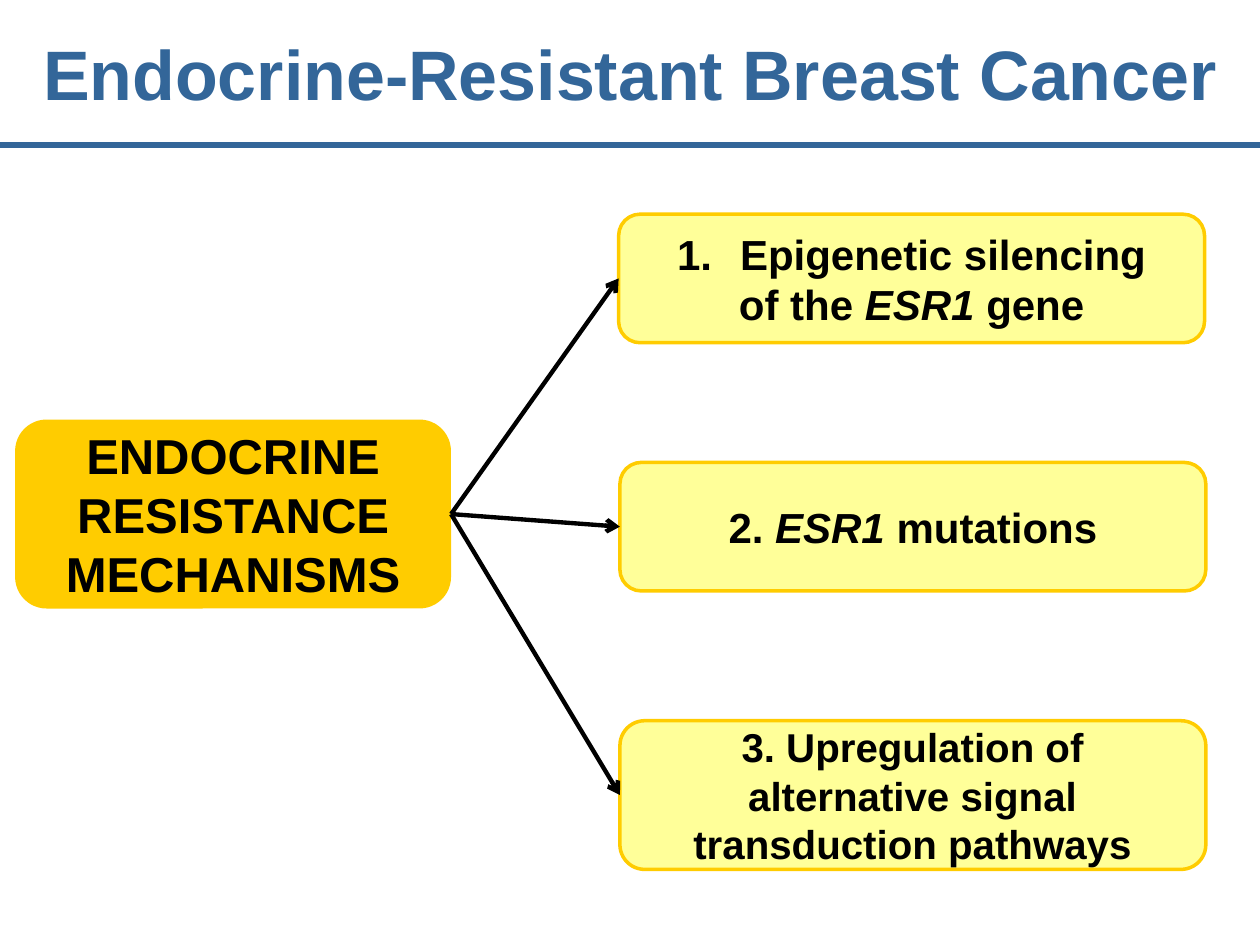
from dataclasses import dataclass

import lxml.etree
import pptx
import pptx.dml.color
import pptx.enum.shapes
import pptx.enum.text
import pptx.oxml.ns
import pptx.util

Pt = pptx.util.Pt
COLORS = {
    "background": "FFFFFF",
    "title": "336699",
    "gold": "FFCC00",
    "pale_yellow": "FFFF99",
    "black": "000000",
}
FONT = "Arial"
GENE = "ESR1"  # gene names are set in italics
SLIDE_WIDTH, SLIDE_HEIGHT = 720, 540
TITLE_HEIGHT = 82.8
MECHANISM_WIDTH = 334.8


@dataclass
class Box:
    left: float
    top: float
    width: float
    height: float
    lines: list[list[str]]  # paragraphs, each a list of runs
    size: float
    fill: str = "pale_yellow"
    outlined: bool = True
    numbered: bool = False  # automatic number on the first paragraph


CAUSE = Box(8.64, 239.76, 249.12, 108,
            [["ENDOCRINE RESISTANCE"], ["MECHANISMS"]], 28, "gold", outlined=False)
MECHANISMS = [
    Box(353.52, 122.4, MECHANISM_WIDTH, 73.44,
        [["Epigenetic silencing"], ["of the ", GENE, " gene"]], 24, numbered=True),
    Box(354.24, 264.24, MECHANISM_WIDTH, 73.44, [["2. ", GENE, " mutations"]], 24),
    Box(354.24, 411.84, MECHANISM_WIDTH, 84.96,
        [["3. Upregulation of alternative signal transduction pathways"]], 23),
]


def rgb(name: str) -> pptx.dml.color.RGBColor:
    return pptx.dml.color.RGBColor.from_string(COLORS[name])


def write_text(shape, lines: list[list[str]], size: float, color: str) -> None:
    text_frame = shape.text_frame
    text_frame.word_wrap = True
    text_frame.vertical_anchor = pptx.enum.text.MSO_ANCHOR.MIDDLE
    for index, pieces in enumerate(lines):
        paragraph = text_frame.add_paragraph() if index else text_frame.paragraphs[0]
        paragraph.alignment = pptx.enum.text.PP_ALIGN.CENTER
        for piece in pieces:
            run = paragraph.add_run()
            run.text = piece
            run.font.name = FONT
            run.font.size = Pt(size)
            run.font.bold = True
            run.font.italic = piece == GENE
            run.font.color.rgb = rgb(color)


def number_paragraph(paragraph) -> None:
    properties = paragraph._p.get_or_add_pPr()
    properties.set("marL", str(Pt(36)))
    properties.set("indent", str(Pt(-36)))
    lxml.etree.SubElement(properties, pptx.oxml.ns.qn("a:buAutoNum"), type="arabicPeriod")


def draw_box(slide, box: Box):
    shape = slide.shapes.add_shape(
        pptx.enum.shapes.MSO_SHAPE.ROUNDED_RECTANGLE,
        Pt(box.left), Pt(box.top), Pt(box.width), Pt(box.height))
    shape.shadow.inherit = False
    shape.fill.solid()
    shape.fill.fore_color.rgb = rgb(box.fill)
    if box.outlined:
        shape.line.color.rgb = rgb("gold")
        shape.line.width = Pt(2)
    else:
        shape.line.fill.background()
    write_text(shape, box.lines, box.size, "black")
    if box.numbered:
        number_paragraph(shape.text_frame.paragraphs[0])
    return shape


def draw_line(slide, start: tuple, end: tuple, color: str, width: float):
    connector = slide.shapes.add_connector(
        pptx.enum.shapes.MSO_CONNECTOR.STRAIGHT, *map(Pt, start + end))
    connector.line.color.rgb = rgb(color)
    connector.line.width = Pt(width)
    lxml.etree.SubElement(connector._element.spPr, pptx.oxml.ns.qn("a:effectLst"))
    return connector


def draw_arrow(slide, source, target) -> None:
    connector = draw_line(slide, (0, 0), (0, 0), "black", 2.5)
    connector.begin_connect(source, 3)
    connector.end_connect(target, 1)
    lxml.etree.SubElement(
        connector.line._get_or_add_ln(), pptx.oxml.ns.qn("a:tailEnd"), type="arrow")


def main() -> None:
    presentation = pptx.Presentation()
    presentation.slide_width = Pt(SLIDE_WIDTH)
    presentation.slide_height = Pt(SLIDE_HEIGHT)
    slide = presentation.slides.add_slide(presentation.slide_layouts[6])
    slide.background.fill.solid()
    slide.background.fill.fore_color.rgb = rgb("background")

    # Title
    title = slide.shapes.add_textbox(0, 0, Pt(SLIDE_WIDTH), Pt(TITLE_HEIGHT))
    write_text(title, [["Endocrine-Resistant Breast Cancer"]], 40, "title")

    # Cause and its mechanisms, joined by arrows
    cause = draw_box(slide, CAUSE)
    mechanisms = [draw_box(slide, box) for box in MECHANISMS]
    for mechanism in mechanisms:
        draw_arrow(slide, cause, mechanism)

    # Rule below the title
    draw_line(slide, (0, TITLE_HEIGHT), (SLIDE_WIDTH, TITLE_HEIGHT), "title", 3)

    presentation.save("out.pptx")


if __name__ == "__main__":
    main()
